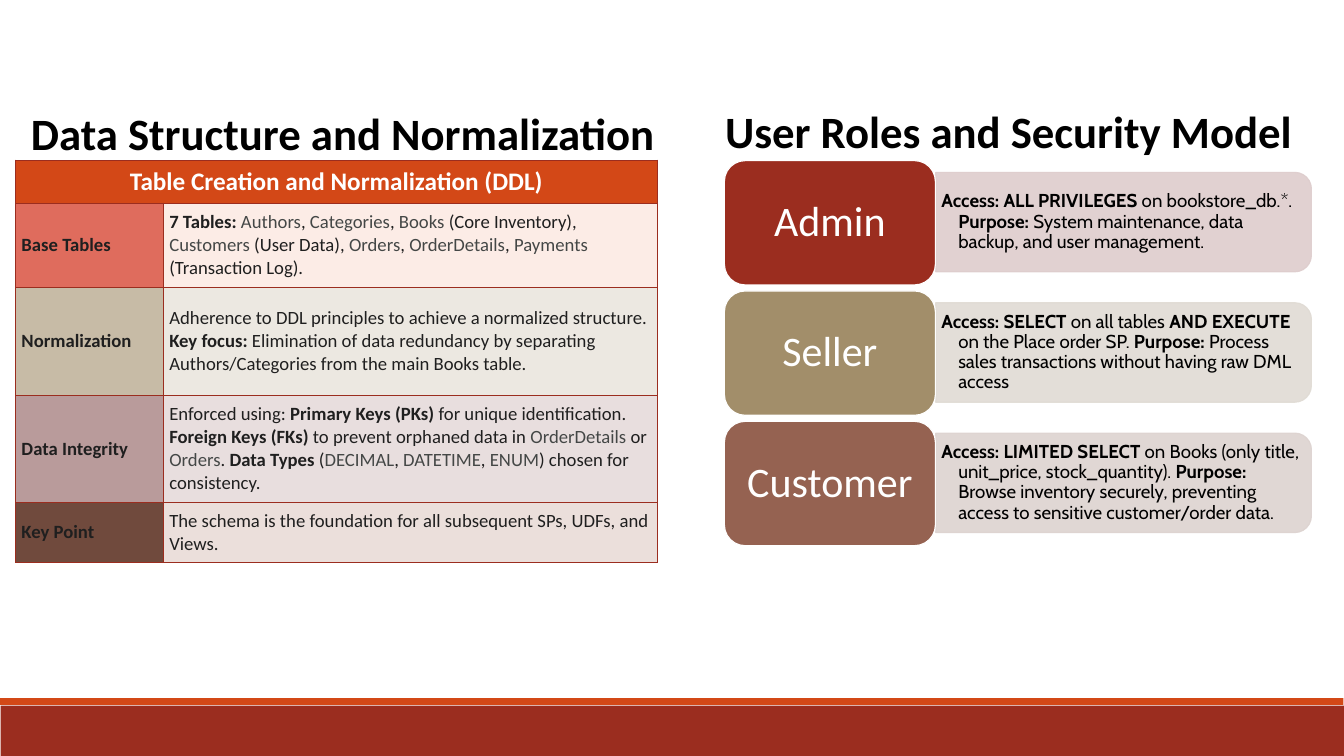
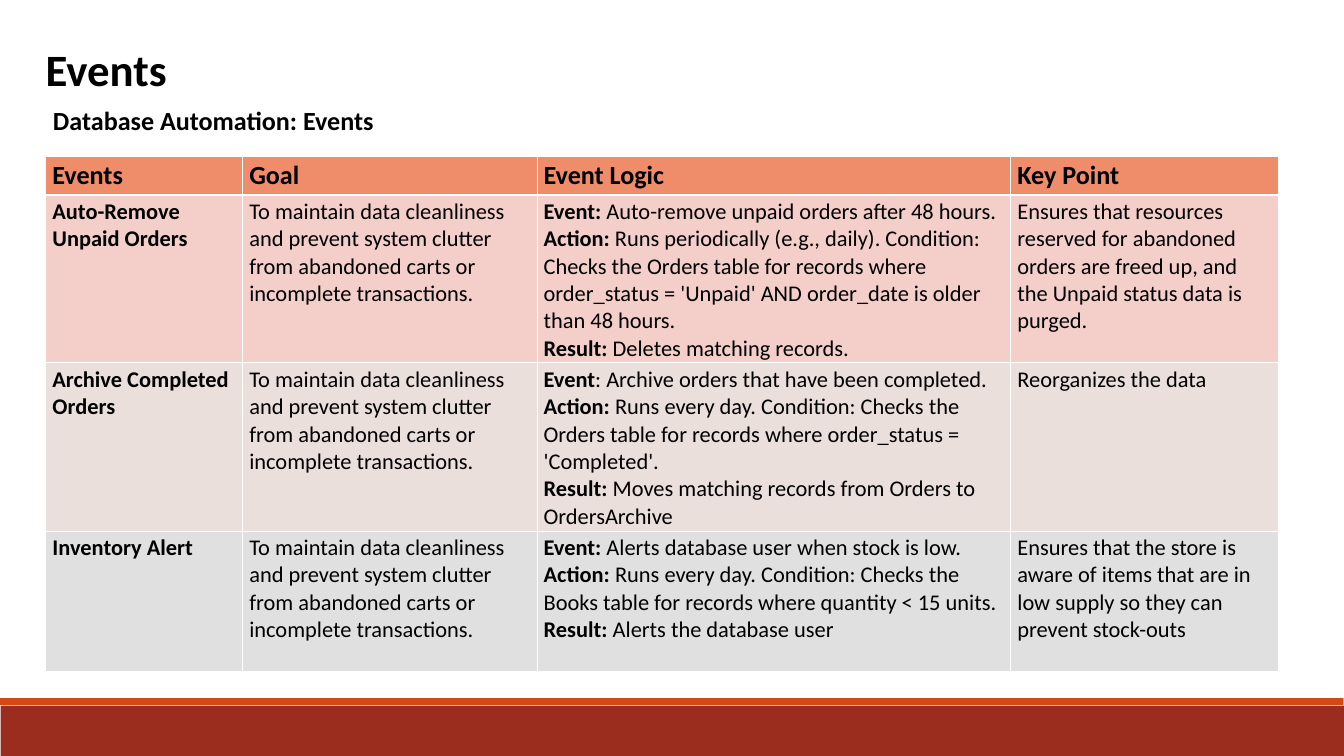
from dataclasses import dataclass

from lxml import etree
from pptx import Presentation
from pptx import util as u
from pptx.dml.color import RGBColor
from pptx.enum import shapes, text
from pptx.oxml import ns


@dataclass(frozen=True)
class Theme:
    """Colours, fonts and type sizes shared by the slides."""
    font: str = "Calibri"
    detail_font: str = "Cabin"
    black: str = "000000"
    white: str = "FFFFFF"
    ink: str = "1F1F1F"
    muted: str = "444746"
    brick: str = "9B2D1F"
    orange: str = "D34817"
    peach: str = "EF8C6A"
    title: int = 48
    role: int = 45
    heading: int = 28
    banner: int = 27
    event: int = 24
    body: int = 20


T = Theme()
LEFT, CENTER = text.PP_ALIGN.LEFT, text.PP_ALIGN.CENTER
TOP, MIDDLE = text.MSO_ANCHOR.TOP, text.MSO_ANCHOR.MIDDLE

SCHEMA = [
    ("DF6C5D", "FCECE6", "**Base Tables**",
     "**7 Tables: **`Authors`, `Categories`, `Books` (Core Inventory), `Customers` (User Data), "
     "`Orders`, `OrderDetails`, `Payments` (Transaction Log)."),
    ("C7BBA6", "ECE8E1", "**Normalization**",
     "Adherence to DDL principles to achieve a normalized structure.\n"
     "**Key focus:** Elimination of data redundancy by separating Authors/Categories "
     "from the main Books table."),
    ("B99B9B", "E8DEDE", "**Data Integrity**",
     "Enforced using: **Primary Keys (PKs)** for unique identification. "
     "**Foreign Keys (FKs)** to prevent orphaned data in `OrderDetails` or `Orders`. "
     "**Data Types** (`DECIMAL`, `DATETIME`, `ENUM`) chosen for consistency."),
    ("704A3D", "EBDFDB", "**Key Point**",
     "The schema is the foundation for all subsequent SPs, UDFs, and Views."),
]

ROLES = [
    ("Admin", T.brick, "DECDCD",
     "**Access: ALL PRIVILEGES** on bookstore_db.*. **Purpose:** System maintenance, "
     "data backup, and user management."),
    ("Seller", "A28E6A", "E0DBD4",
     "**Access: SELECT** on all tables **AND EXECUTE** on the Place order SP. "
     "**Purpose:** Process sales transactions without having raw DML access"),
    ("Customer", "956251", "DDD3D0",
     "**Access: LIMITED SELECT** on Books (only title, unit_price, stock_quantity). "
     "**Purpose:** Browse inventory securely, preventing access to sensitive "
     "customer/order data."),
]

GOAL = ("To maintain data cleanliness and prevent system clutter from abandoned carts "
        "or incomplete transactions.")
EVENT_HEADS = ["Events", "Goal", "Event Logic", "Key Point"]
EVENTS = [
    ("F4CEC9", "**Auto-Remove Unpaid Orders**",
     "**Event: **Auto-remove unpaid orders after 48 hours.\n"
     "**Action:** Runs periodically (e.g., daily). Condition: Checks the Orders table for "
     "records where order_status = 'Unpaid' AND order_date is older than 48 hours.\n"
     "**Result:** Deletes matching records.",
     "Ensures that resources reserved for abandoned orders are freed up, and the Unpaid "
     "status data is purged."),
    ("EBDFDB", "**Archive Completed Orders**",
     "**Event**: Archive orders that have been completed. **Action: **Runs every day. "
     "Condition: Checks the Orders table for records where order_status = 'Completed'.\n"
     "**Result:** Moves matching records from Orders to OrdersArchive",
     "Reorganizes the data"),
    ("E1E0E0", "**Inventory Alert**",
     "**Event: **Alerts database user when stock is low. **Action: **Runs every day. "
     "Condition: Checks the Books table for records where quantity < 15 units. "
     "**Result:** Alerts the database user",
     "Ensures that the store is aware of items that are in low supply so they can "
     "prevent stock-outs"),
]


def rgb(color):
    """Turn a hex string into a colour."""
    return RGBColor.from_string(color)


def inches(*lengths):
    """Turn numbers into lengths."""
    return [u.Inches(n) for n in lengths]


def split_runs(line):
    """Yield text, bold and muted for a line marked with ** and `."""
    for i, part in enumerate(line.split("**")):
        for j, piece in enumerate(part.split("`")):
            if piece:
                yield piece, i % 2 == 1, j % 2 == 1


def write(tf, content, size, color=T.black, font=T.font, bold=False,
          align=LEFT, spacing=None, hanging=None):
    """Write marked-up lines into a text frame, one paragraph a line."""
    tf.word_wrap = True
    for i, line in enumerate(content.split("\n")):
        p = tf.add_paragraph() if i else tf.paragraphs[0]
        p.alignment = align
        if spacing:
            p.line_spacing = spacing
        if hanging:
            pPr = p._p.get_or_add_pPr()
            pPr.set("marL", str(u.Inches(hanging)))
            pPr.set("indent", str(-u.Inches(hanging)))
        for piece, strong, muted in split_runs(line):
            r = p.add_run()
            r.text = piece
            r.font.size = u.Pt(size)
            r.font.name = font
            r.font.bold = bold or strong
            r.font.color.rgb = rgb(T.muted if muted else color)


def set_frame(frame, x, y, anchor):
    """Set the insets and anchor of a text frame or a table cell."""
    frame.margin_left = frame.margin_right = u.Inches(x)
    frame.margin_top = frame.margin_bottom = u.Inches(y)
    frame.vertical_anchor = anchor


def add_box(slide, box, content, size, inset=(0.1, 0.05), anchor=TOP, **style):
    """Add a text box."""
    tf = slide.shapes.add_textbox(*inches(*box)).text_frame
    set_frame(tf, *inset, anchor)
    write(tf, content, size, **style)


def add_block(slide, preset, box, fill, line=None):
    """Add a filled preset shape with an optional outline."""
    sp = slide.shapes.add_shape(preset, *inches(*box))
    sp.shadow.inherit = False
    sp.fill.solid()
    sp.fill.fore_color.rgb = rgb(fill)
    if line:
        sp.line.color.rgb = rgb(line)
        sp.line.width = u.Pt(1.25)
    else:
        sp.line.fill.background()
    return sp


def set_opacity(sp, percent):
    """Make the fill and outline of a shape partly transparent."""
    for color in sp.element.spPr.iter(ns.qn("a:srgbClr")):
        etree.SubElement(color, ns.qn("a:alpha"), val=str(percent * 1000))


def add_footer(slide):
    """Draw the footer bands and move them to the layout of the slide."""
    for box, fill in (((0.01, 10.5, 19.99, 0.75), T.brick),
                      ((0, 10.39, 19.99, 0.1), T.orange)):
        sp = add_block(slide, shapes.MSO_SHAPE.RECTANGLE, box, fill)
        slide.slide_layout.shapes.element.append(sp.element)


def style_title(sp, box, content):
    """Place a heading and give it the title style."""
    sp.left, sp.top, sp.width, sp.height = inches(*box)
    tf = sp.text_frame
    tf.auto_size = text.MSO_AUTO_SIZE.NONE
    set_frame(tf, 0, 0, TOP)
    write(tf, content, T.title, bold=True, spacing=u.Pt(102))


def set_borders(cell, color, top=1, bottom=1):
    """Outline a table cell."""
    tcPr = cell._tc.get_or_add_tcPr()
    for side, width in (("L", 1), ("R", 1), ("T", top), ("B", bottom)):
        ln = etree.SubElement(tcPr, ns.qn("a:ln" + side), w=str(u.Pt(width)))
        fill = etree.SubElement(ln, ns.qn("a:solidFill"))
        etree.SubElement(fill, ns.qn("a:srgbClr"), val=color)


def add_grid(slide, left, top, cols, rows):
    """Add a plain table with the given column widths and row heights."""
    box = inches(left, top, sum(cols), sum(rows))
    table = slide.shapes.add_table(len(rows), len(cols), *box).table
    table.first_row = table.horz_banding = False
    for col, width in zip(table.columns, cols):
        col.width = u.Inches(width)
    for row, height in zip(table.rows, rows):
        row.height = u.Inches(height)
    return table


def fill_cell(cell, content, fill, size, inset=(0.1, 0.05), anchor=TOP,
              border=T.white, top=1, bottom=1, **style):
    """Fill, outline and write a table cell."""
    set_borders(cell, border, top, bottom)
    cell.fill.solid()
    cell.fill.fore_color.rgb = rgb(fill)
    set_frame(cell, *inset, anchor)
    write(cell.text_frame, content, size, **style)


def add_schema_table(slide):
    """Add the table on table creation and normalization."""
    table = add_grid(slide, 0.23, 2.38, [2.2, 7.35], [0.64, 1.26, 1.6, 1.6, 0.89])
    look = dict(inset=(0.09, 0.06), anchor=MIDDLE, border=T.brick)
    fill_cell(table.cell(0, 0), "Table Creation and Normalization (DDL)", T.orange,
              T.banner, color=T.white, bold=True, align=CENTER, **look)
    set_borders(table.cell(0, 1), T.brick)
    table.cell(0, 0).merge(table.cell(0, 1))
    for i, (label_fill, note_fill, label, note) in enumerate(SCHEMA, 1):
        fill_cell(table.cell(i, 0), label, label_fill, T.body, color=T.ink, **look)
        fill_cell(table.cell(i, 1), note, note_fill, T.body, color=T.ink, **look)


def add_role(slide, y, name, fill, tint, detail):
    """Add a role block with its access panel."""
    panel = add_block(slide, shapes.MSO_SHAPE.ROUND_2_SAME_RECTANGLE,
                      (15.98, y - 1.88, 1.48, 5.59), tint, tint)
    panel.rotation = 90
    set_opacity(panel, 90)
    add_box(slide, (13.93, y + 0.25, 5.52, 1.33), detail, T.body, inset=(0.08, 0.04),
            anchor=MIDDLE, font=T.detail_font, spacing=0.9, hanging=0.25)
    block = add_block(slide, shapes.MSO_SHAPE.ROUNDED_RECTANGLE,
                      (10.78, y, 3.14, 1.85), fill, T.white)
    set_frame(block.text_frame, 0.19, 0.09, MIDDLE)
    write(block.text_frame, name, T.role, color=T.white, align=CENTER, spacing=0.9)


def add_events_table(slide):
    """Add the table of scheduled events."""
    table = add_grid(slide, 0.68, 2.33, [2.93, 4.38, 7.05, 3.99], [0.57, 2.49, 2.49, 2.09])
    for j, head in enumerate(EVENT_HEADS):
        fill_cell(table.cell(0, j), head, T.peach, T.heading, bold=True, bottom=3)
    for i, (fill, name, logic, point) in enumerate(EVENTS, 1):
        for j, content in enumerate((name, GOAL, logic, point)):
            fill_cell(table.cell(i, j), content, fill, T.event, top=3 if i == 1 else 1)


def main():
    """Build both slides and save them."""
    prs = Presentation()
    prs.slide_width, prs.slide_height = inches(20, 11.25)
    layout = prs.slide_layouts[5]

    slide = prs.slides.add_slide(layout)
    add_footer(slide)
    style_title(slide.shapes.title, (0.46, 0.95, 11.36, 1.25),
                "Data Structure and Normalization")
    add_schema_table(slide)
    style_title(slide.shapes.add_textbox(0, 0, 0, 0), (10.79, 0.93, 8.74, 1.25),
                "User Roles and Security Model")
    for i, role in enumerate(ROLES):
        add_role(slide, 2.39 + 1.94 * i, *role)

    slide = prs.slides.add_slide(layout)
    style_title(slide.shapes.title, (0.68, 0.01, 9.59, 1.27), "Events")
    add_box(slide, (0.69, 1.5, 5.29, 0.57), "Database Automation: Events",
            T.heading, bold=True)
    add_events_table(slide)

    prs.save("out.pptx")


if __name__ == "__main__":
    main()
